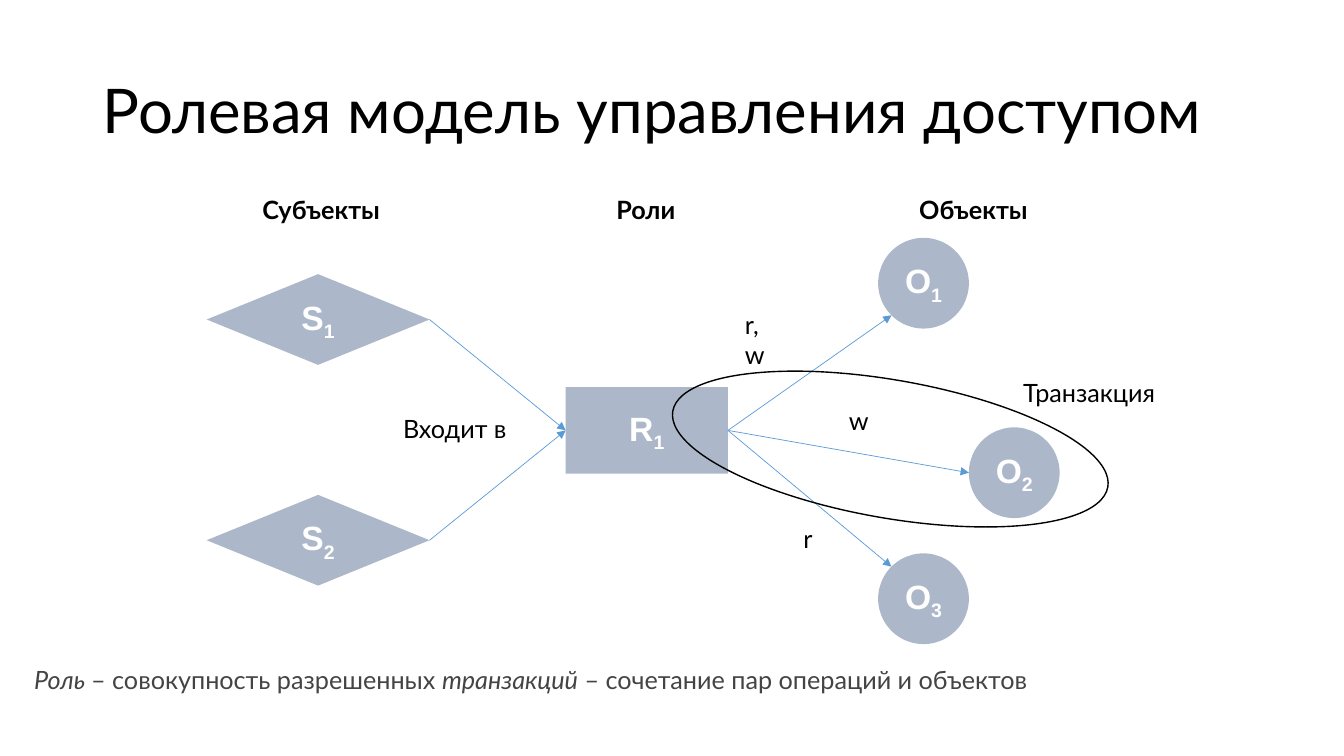
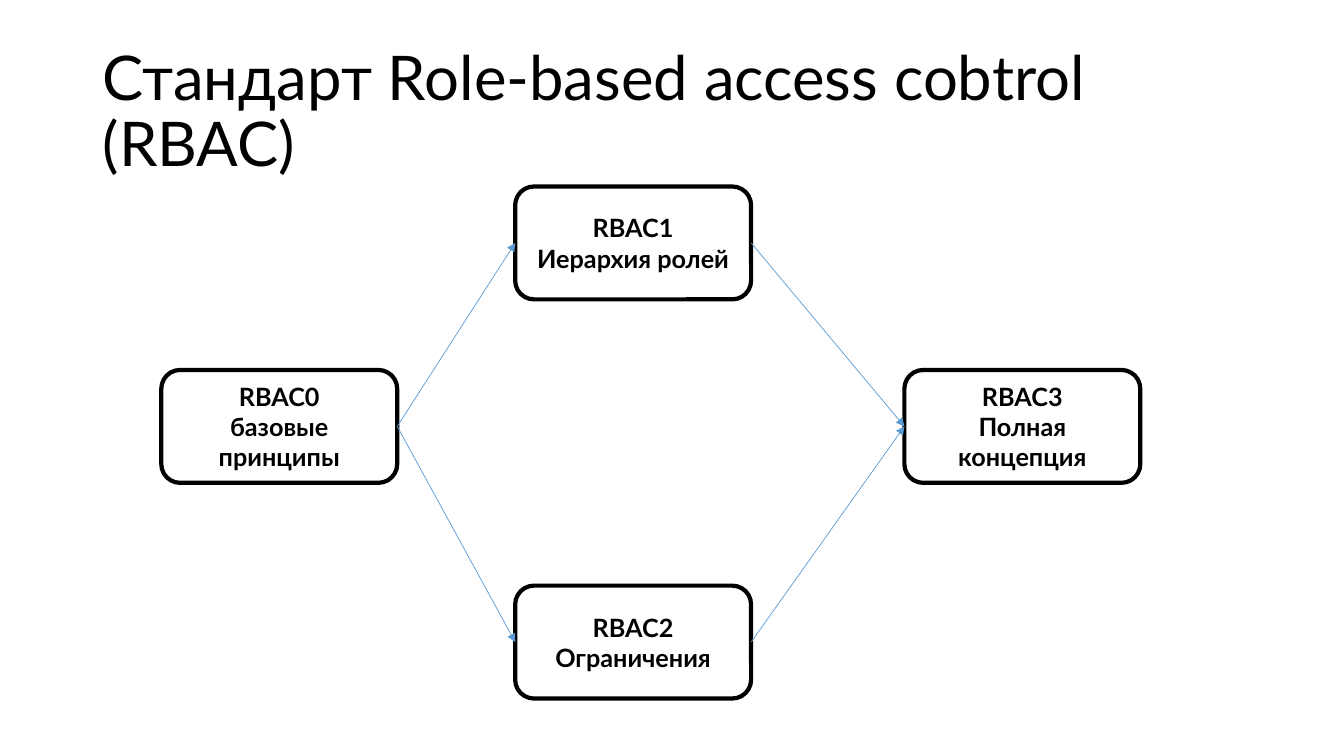
"""Build two slides on role-based access control."""
import dataclasses

import pptx
import pptx.dml.color
import pptx.enum.shapes
import pptx.enum.text
import pptx.oxml
import pptx.oxml.ns
import pptx.util

EMU_PER_PX = 9144
KIND = pptx.enum.shapes.MSO_SHAPE
CENTER = pptx.enum.text.PP_ALIGN.CENTER
MIDDLE = pptx.enum.text.MSO_ANCHOR.MIDDLE
TOP = pptx.enum.text.MSO_ANCHOR.TOP


@dataclasses.dataclass(frozen=True)
class Theme:
    """Colours, fonts and type sizes of the deck."""
    ink: str = "000000"
    note: str = "444444"
    node: str = "ACB8CA"
    on_node: str = "FFFFFF"
    arrow: str = "5B9BD5"
    text_font: str = "Lato"
    node_font: str = "Arial"
    title_size: int = pptx.util.Pt(44)
    node_size: int = pptx.util.Pt(24)
    text_size: int = pptx.util.Pt(18)
    hairline: float = pptx.util.Pt(0.5)
    outline: int = pptx.util.Pt(1)
    frame: int = pptx.util.Pt(3)


theme = Theme()
body_font = {"name": theme.text_font, "size": theme.text_size}
bold_font = {**body_font, "bold": True}
TITLE = {"font": {**body_font, "size": theme.title_size}, "color": theme.ink,
         "paragraph": {"line_spacing": 0.9}, "anchor": MIDDLE}
HEADING = {"font": bold_font, "color": theme.ink, "anchor": TOP,
           "paragraph": {"alignment": CENTER, "line_spacing": 0.9}}
LABEL = {"font": body_font, "color": theme.ink, "paragraph": {}, "anchor": TOP}
DEFINITION = {**LABEL, "color": theme.note}
NODE = {"font": {"name": theme.node_font, "size": theme.node_size, "bold": True},
        "color": theme.on_node, "paragraph": {"alignment": CENTER},
        "anchor": MIDDLE, "fill": theme.node}
LEVEL = {"font": bold_font, "color": theme.ink, "paragraph": {"alignment": CENTER},
         "anchor": MIDDLE, "line": theme.frame}
BOUNDARY = {**LEVEL, "line": theme.outline}


def put(slide, kind, box, paragraphs, style):
    """Add a text box or preset shape holding paragraphs of (text, format) runs."""
    place = [value * EMU_PER_PX for value in box]
    if kind is None:
        part = slide.shapes.add_textbox(*place)
    else:
        part = slide.shapes.add_shape(kind, *place)
        part.shadow.inherit = False
        if "fill" in style:
            part.fill.solid()
            part.fill.fore_color.rgb = pptx.dml.color.RGBColor.from_string(style["fill"])
        else:
            part.fill.background()
        if "line" in style:
            part.line.color.rgb = pptx.dml.color.RGBColor.from_string(theme.ink)
            part.line.width = style["line"]
        else:
            part.line.fill.background()
    frame = part.text_frame
    frame.word_wrap = True
    frame.vertical_anchor = style["anchor"]
    for index, pieces in enumerate(paragraphs):
        paragraph = frame.add_paragraph() if index else frame.paragraphs[0]
        for name, value in style["paragraph"].items():
            setattr(paragraph, name, value)
        for text, changes in pieces:
            run = paragraph.add_run()
            run.text = text
            run.font.color.rgb = pptx.dml.color.RGBColor.from_string(style["color"])
            for name, value in {**style["font"], **changes}.items():
                setattr(run.font, name, value)
    return part


def link(slide, source, target, across=0, down=0.5):
    """Draw an arrow from the right side of source to a point of target."""
    arrow = slide.shapes.add_connector(
        pptx.enum.shapes.MSO_CONNECTOR.STRAIGHT, 0, 0,
        round(target.left + target.width * across),
        round(target.top + target.height * down))
    arrow.begin_connect(source, 3)
    if target.auto_shape_type != KIND.OVAL:
        arrow.end_connect(target, 1)
    arrow.line.color.rgb = pptx.dml.color.RGBColor.from_string(theme.arrow)
    arrow.line.width = theme.hairline
    head = pptx.oxml.parse_xml(f'<a:tailEnd {pptx.oxml.ns.nsdecls("a")} type="triangle"/>')
    arrow.line._ln.append(head)
    flat = pptx.oxml.parse_xml(f'<a:effectLst {pptx.oxml.ns.nsdecls("a")}/>')
    arrow._element.spPr.append(flat)


deck = pptx.Presentation()
deck.slide_width = 1333 * EMU_PER_PX
deck.slide_height = 750 * EMU_PER_PX
slides = []
for title in ["Ролевая модель управления доступом",
              "Стандарт Role-based access cobtrol (RBAC)"]:
    slide = deck.slides.add_slide(deck.slide_layouts[6])
    put(slide, None, (92, 40, 1150, 145), [[(title, {})]], TITLE)
    slides.append(slide)
model, standard = slides

members = {}
for letter, number, kind, box in [
    ("S", "1", KIND.FLOWCHART_DECISION, (205, 272, 221, 90)),
    ("S", "2", KIND.FLOWCHART_DECISION, (205, 491, 221, 90)),
    ("R", "1", KIND.RECTANGLE, (561, 384, 161, 86)),
    ("O", "1", KIND.OVAL, (871, 236, 90, 90)),
    ("O", "2", KIND.OVAL, (961, 424, 90, 90)),
    ("O", "3", KIND.OVAL, (871, 549, 90, 90)),
]:
    member = put(model, kind, box, [[(letter, {}), (number, {})]], NODE)
    member.text_frame.paragraphs[0].runs[1].font._element.set("baseline", "-25000")
    members[letter + number] = member

role = members["R1"]
for subject in ["S1", "S2"]:
    link(model, members[subject], role)
diagonal = 0.5 ** 1.5
link(model, role, members["O1"], 0.5 - diagonal, 0.5 + diagonal)
link(model, role, members["O2"])
link(model, role, members["O3"], 0.5 - diagonal, 0.5 - diagonal)

for heading, left in [("Субъекты", 76), ("Роли", 398), ("Объекты", 723)]:
    put(model, None, (left, 191, 485, 37), [[(heading, {})]], HEADING)

for lines, box in [
    (["Входит в"], (390, 405, 126, 40)),
    (["r,", "w"], (729, 302, 52, 40)),
    (["w"], (832, 397, 42, 40)),
    (["r"], (787, 514, 32, 40)),
    (["Транзакция"], (1005, 369, 160, 40)),
]:
    put(model, None, box, [[(line, {})] for line in lines], LABEL)

put(model, None, (24, 654, 1309, 40), [[
    ("Роль ", {"italic": True}),
    ("– совокупность разрешенных ", {}),
    ("транзакций", {"italic": True}),
    (" – сочетание пар операций и объектов", {}),
]], DEFINITION)

transaction = put(model, KIND.OVAL, (664, 377, 438, 137), [], BOUNDARY)
transaction.rotation = 9.9

levels = []
for number, (meaning, left, top) in enumerate([
    ("базовые принципы", 160, 367),
    ("Иерархия ролей", 511, 185),
    ("Ограничения", 511, 581),
    ("Полная концепция", 897, 367),
]):
    levels.append(put(standard, KIND.ROUNDED_RECTANGLE, (left, top, 234, 112),
                      [[(f"RBAC{number}", {})], [(meaning, {})]], LEVEL))

base, hierarchy, constraints, full = levels
for source, target in [(base, hierarchy), (base, constraints),
                       (hierarchy, full), (constraints, full)]:
    link(standard, source, target)

deck.save("out.pptx")
